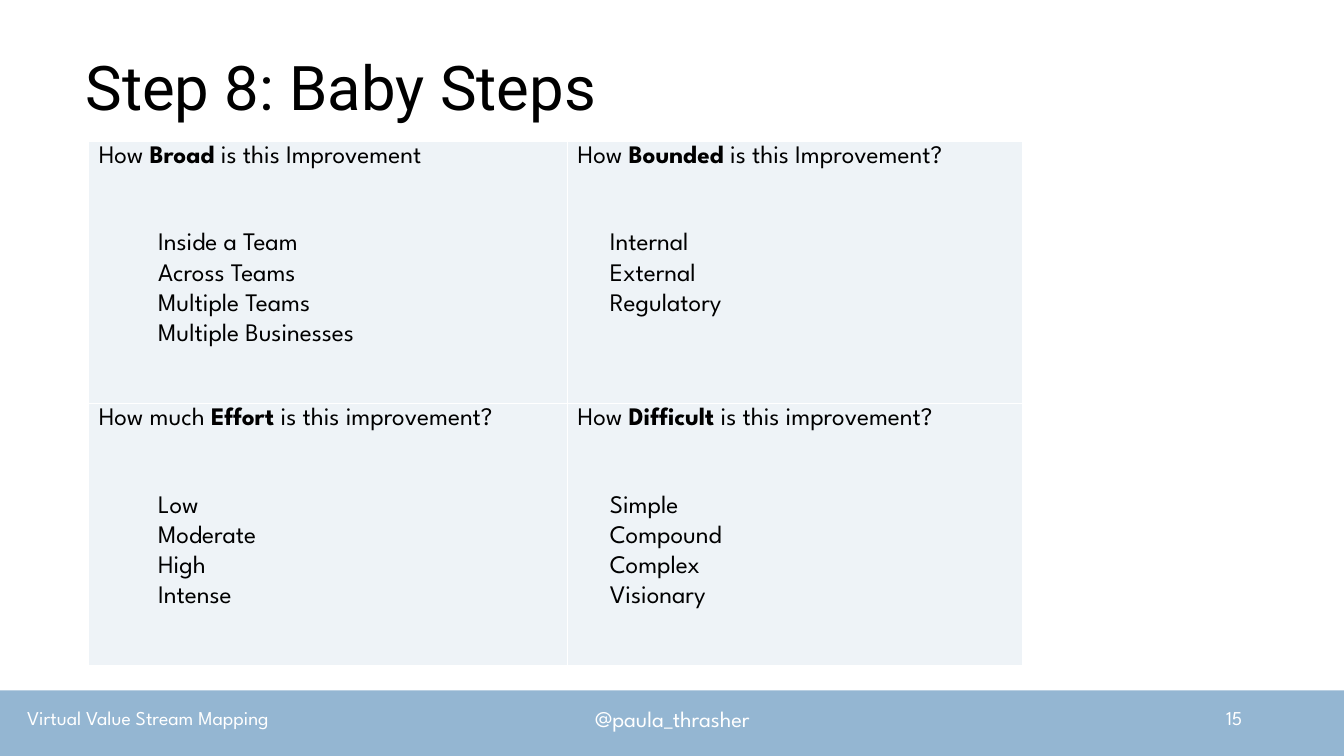
"""Build the "Step 8: Baby Steps" slide with its four-question table."""
from pptx import Presentation
from pptx.dml.color import RGBColor
from pptx.enum.shapes import MSO_SHAPE as Shape
from pptx.enum.text import MSO_ANCHOR as Anchor, MSO_AUTO_SIZE as AutoSize, PP_ALIGN as Align
from pptx.oxml import parse_xml
from pptx.oxml.ns import nsdecls
from pptx.util import Emu, Pt

PX = 9144
BODY_FONT = "League Spartan"
BLACK, WHITE, BAND_BLUE, CELL_GREY = "000000", "FFFFFF", "94B6D2", "EEF3F7"


def color(value):
    return RGBColor.from_string(value)


def add_run(para, text, size, ink=BLACK, font=BODY_FONT, bold=False):
    span = para.add_run()
    span.text = text
    span.font.size = Pt(size)
    span.font.name = font
    span.font.bold = bold
    span.font.color.rgb = color(ink)


deck = Presentation()
deck.slide_width, deck.slide_height = Emu(1333 * PX), Emu(750 * PX)
page = deck.slides.add_slide(deck.slide_layouts[6])

band = page.shapes.add_shape(Shape.RECTANGLE, 0, 685 * PX, 1333 * PX, 65 * PX)
band.shadow.inherit = False
band.fill.solid()
band.fill.fore_color.rgb = color(BAND_BLUE)
band.line.fill.background()

footers = [
    ("Virtual Value Stream Mapping", 17, 360, 14, Align.LEFT),
    ("@paula_thrasher", 442, 450, 16, Align.CENTER),
    ("15", 942, 300, 14, Align.RIGHT),
]
for text, left, width, size, align in footers:
    box = page.shapes.add_textbox(left * PX, 695 * PX, width * PX, 40 * PX)
    box.text_frame.word_wrap = True
    para = box.text_frame.paragraphs[0]
    para.alignment = align
    add_run(para, text, size, WHITE)

title = page.shapes.add_textbox(75 * PX, 40 * PX, 1150 * PX, 100 * PX)
title.text_frame.word_wrap = True
title.text_frame.vertical_anchor = Anchor.MIDDLE
para = title.text_frame.paragraphs[0]
para.line_spacing = 0.9
add_run(para, "Step 8: Baby Steps", 44, font="Roboto")

questions = [
    [
        ("How ", "Broad", " is this Improvement",
         ["Inside a Team", "Across Teams", "Multiple Teams", "Multiple Businesses"]),
        ("How ", "Bounded", " is this Improvement?",
         ["Internal", "External", "Regulatory"]),
    ],
    [
        ("How much ", "Effort", " is this improvement?",
         ["Low", "Moderate", "High", "Intense"]),
        ("How ", "Difficult", " is this improvement?",
         ["Simple", "Compound", "Complex", "Visionary"]),
    ],
]
column_widths = [475, 451]
answer_lefts = [147, 595]
row_height = 260

table = page.shapes.add_table(2, 2, 88 * PX, 140 * PX, sum(column_widths) * PX, 2 * row_height * PX).table
for column, width in zip(table.columns, column_widths):
    column.width = Emu(width * PX)

for row, row_questions in enumerate(questions):
    table.rows[row].height = Emu(row_height * PX)
    for col, (before, keyword, after, answers) in enumerate(row_questions):
        cell = table.cell(row, col)
        properties = cell._tc.get_or_add_tcPr()
        for side in ("lnL", "lnR", "lnT", "lnB"):
            properties.append(parse_xml(
                f'<a:{side} {nsdecls("a")} w="12700"><a:solidFill>'
                f'<a:srgbClr val="{WHITE}"/></a:solidFill></a:{side}>'))
        cell.fill.solid()
        cell.fill.fore_color.rgb = color(CELL_GREY)
        para = cell.text_frame.paragraphs[0]
        add_run(para, before, 18)
        add_run(para, keyword, 18, bold=True)
        add_run(para, after, 18)

        top = 219 + row * row_height
        height = 11 + 30 * len(answers)
        box = page.shapes.add_textbox(answer_lefts[col] * PX, top * PX, 369 * PX, height * PX)
        frame = box.text_frame
        frame.word_wrap = True
        frame.auto_size = AutoSize.SHAPE_TO_FIT_TEXT
        for index, answer in enumerate(answers):
            para = frame.add_paragraph() if index else frame.paragraphs[0]
            add_run(para, answer, 18)

deck.save("out.pptx")
